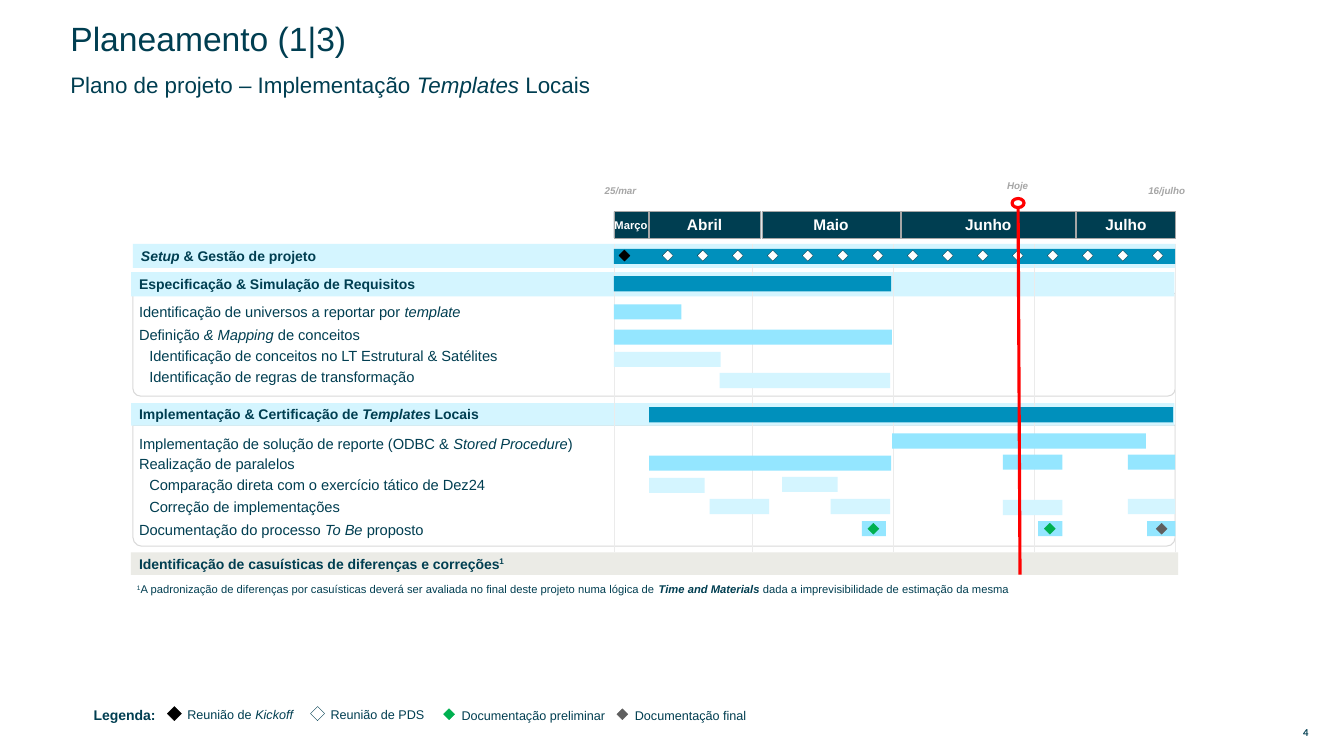
from lxml.etree import SubElement
from pptx import Presentation
from pptx.dml.color import RGBColor
from pptx.enum.shapes import MSO_CONNECTOR as Connector, MSO_SHAPE as Shape
from pptx.enum.text import MSO_ANCHOR as Anchor, PP_ALIGN as Align
from pptx.oxml.ns import qn
from pptx.util import Pt

COLORS = {
    "navy": "003E51", "deep": "0090BC", "mid": "94E6FF", "light": "D4F5FF",
    "stone": "EBEBE6", "grid": "EBEBEB", "frame": "D9D9D9", "silver": "A6A6A6",
    "white": "FFFFFF", "black": "000000", "green": "00B050", "gray": "5F5F5F",
    "red": "FF0000",
}

START, END = 438.5, 839.5
GRID = [START, 537.1, 637.9, 738.7, END]
MONTHS = [("Março", START, 24.5, 8), ("Abril", 463.7, 79.2, 11),
          ("Maio", 544.3, 98.6, 11), ("Junho", 643.7, 124.6, 11),
          ("Julho", 769, 70.5, 11)]
BANDS = [
    (95, 174.2, 744.5, 17.3, "light", [("Setup", "i"), " & Gestão de projeto"]),
    (93.6, 194.4, 745.2, 17.3, "light", ["Especificação & Simulação de Requisitos"]),
    (93.6, 288, 745.2, 16, "light",
     ["Implementação & Certificação de ", ("Templates ", "i"), "Locais"]),
    (93.6, 394.6, 748, 16, "stone",
     ["Identificação de casuísticas de diferenças e correções", ("1", "^")]),
]
TASKS = [
    (213.8, 17.3, 0, ["Identificação de universos a reportar por ", ("template", "i")]),
    (231.1, 15.8, 0, ["Definição", (" & Mapping", "i"), " de conceitos"]),
    (247, 14.4, 1, ["Identificação de conceitos no LT Estrutural & Satélites"]),
    (261.4, 15.8, 1, ["Identificação de regras de transformação"]),
    (307.4, 19.4, 0, ["Implementação de solução de reporte (ODBC & ",
                      ("Stored Procedure", "i"), ")"]),
    (323.3, 15.8, 0, ["Realização de paralelos"]),
    (339.1, 14.4, 1, ["Comparação direta com o exercício tático de Dez24"]),
    (354.2, 15.8, 1, ["Correção de implementações"]),
    (370.8, 14.4, 0, ["Documentação do processo ", ("To Be", "i"), " proposto"]),
]
BARS = {
    "deep": [(START, 177.8, 401), (START, 197.3, 198), (463.7, 290.9, 374.4)],
    "mid": [(START, 217.4, 48.2), (START, 235.4, 198.7), (637.2, 309.6, 181.4),
            (463.7, 325.4, 172.8), (716.4, 324.7, 42.5), (805.7, 324.7, 33.8),
            (615.6, 372.2, 17.3), (741.6, 372.2, 17.3), (819.4, 372.2, 20.1)],
    "light": [(START, 251.3, 76.3), (514.1, 266.4, 121.7), (463.7, 341.3, 39.6),
              (558.7, 340.6, 39.6), (506.9, 356.4, 42.5), (593.3, 356.4, 42.5),
              (716.4, 357.1, 42.5), (805.7, 356.4, 33.8)],
}
DOCUMENTS = [(619.9, "green"), (745.9, "green"), (825.8, "gray")]
LEGEND = [
    (119.5, 504.7, 10.1, "black", "black", 126.7, 500.4, 93, ["Reunião de ", ("Kickoff", "i")]),
    (221.8, 504.7, 10.1, "white", "navy", 229, 500.4, 93, ["Reunião de PDS"]),
    (316.8, 506.2, 7.9, "green", "green", 322.6, 501.1, 121.7, ["Documentação preliminar"]),
    (440.6, 506.2, 7.9, "gray", "gray", 446.4, 501.1, 101.5, ["Documentação final"]),
]


class Painter:
    font = "Arial"

    def __init__(self, page):
        self.page = page

    def color(self, name):
        return RGBColor.from_string(COLORS[name])

    def shape(self, kind, left, top, width, height, fill=None, line=None, weight=0.25):
        box = self.page.shapes.add_shape(kind, Pt(left), Pt(top), Pt(width), Pt(height))
        box.shadow.inherit = False
        if fill:
            box.fill.solid()
            box.fill.fore_color.rgb = self.color(fill)
        else:
            box.fill.background()
        if line:
            box.line.color.rgb = self.color(line)
            box.line.width = Pt(weight)
        else:
            box.line.fill.background()
        return box

    def diamond(self, left, top, fill, line=None, size=7.9):
        self.shape(Shape.DIAMOND, left, top, size, size, fill, line or fill)

    def line(self, start, end, color, weight):
        line = self.page.shapes.add_connector(Connector.STRAIGHT, *map(Pt, start + end))
        line.line.color.rgb = self.color(color)
        line.line.width = Pt(weight)
        SubElement(line._element.spPr, qn("a:effectLst"))

    def label(self, box, spans, size, color="navy", bold=False, italic=False,
              align=Align.LEFT, anchor=Anchor.MIDDLE, insets=(7.2, 3.6, 7.2, 3.6),
              spacing=None, font=None):
        frame = box.text_frame
        frame.word_wrap = True
        frame.vertical_anchor = anchor
        (frame.margin_left, frame.margin_top,
         frame.margin_right, frame.margin_bottom) = map(Pt, insets)
        para = frame.paragraphs[0]
        para.alignment = align
        if spacing:
            para.line_spacing = spacing
        para.font.name = font or self.font
        para.font.size = Pt(size)
        para.font.color.rgb = self.color(color)
        para.font.bold = bold
        para.font.italic = italic
        for item in spans:
            words, marks = (item, "") if isinstance(item, str) else item
            span = para.add_run()
            span.text = words
            if "b" in marks:
                span.font.bold = True
            if "i" in marks:
                span.font.italic = True
            if "^" in marks:
                span._r.get_or_add_rPr().set("baseline", "30000")

    def text(self, left, top, width, height, spans, size, **style):
        box = self.page.shapes.add_textbox(Pt(left), Pt(top), Pt(width), Pt(height))
        self.label(box, spans, size, **style)

    def note(self, left, top, width, height, spans, size, **style):
        self.text(left, top, width, height, spans, size,
                  anchor=Anchor.TOP, spacing=1.1, **style)

    def date(self, left, top, day):
        self.text(left, top, 51.1, 15.8, [day], 7, color="silver", bold=True, italic=True,
                  align=Align.CENTER, anchor=Anchor.TOP, insets=(0, 3.6, 0, 3.6))


def main():
    deck = Presentation()
    deck.slide_width, deck.slide_height = Pt(960), Pt(540)
    painter = Painter(deck.slides.add_slide(deck.slide_layouts[6]))

    painter.text(43.2, 19.4, 572.4, 18.7, ["Planeamento (1|3)"], 24, spacing=0.9)
    painter.text(43.2, 52.6, 551.5, 18.7,
                 ["Plano de projeto – Implementação ", ("Templates", "i"), " Locais"],
                 16, spacing=0.9)

    for top, height in [(209.5, 73.4), (303.8, 86.4)]:
        frame = painter.shape(Shape.ROUND_2_SAME_RECTANGLE, 95, top, 744.5, height,
                              line="frame", weight=0.75)
        frame.adjustments[0], frame.adjustments[1] = 0, 0.073
    for left, top, width, height, fill, spans in BANDS:
        band = painter.shape(Shape.RECTANGLE, left, top, width, height, fill)
        painter.label(band, spans, 10, bold=True, insets=(5.76, 7.9, 5.76, 7.9))
    for top, height, level, spans in TASKS:
        painter.text(92.2, top, 356, height, spans, 10.5,
                     insets=(7.2 + 7.2 * level, 3.6, 7.2, 3.6))

    for left in GRID:
        painter.line((left, 174.2), (left, 394.6), "grid", 0.25)
    for fill, bars in BARS.items():
        for left, top, width in bars:
            painter.shape(Shape.RECTANGLE, left, top, width, 10.8, fill)
    painter.diamond(442.1, 178.6, "black")
    for week in range(15):
        painter.diamond(473 + 25 * week, 178.6, "white", "navy")
    for left, fill in DOCUMENTS:
        painter.diamond(left, 373.7, fill)

    for month, left, width, size in MONTHS:
        header = painter.shape(Shape.RECTANGLE, left, 151.2, width, 18.7, "navy", "silver")
        painter.label(header, [month], size, color="white", bold=True,
                      align=Align.CENTER, insets=(0, 3.6, 0, 3.6))
    painter.date(417.6, 128.2, "25/mar")
    painter.date(807.8, 128.2, "16/julho")

    painter.line((727.2, 144), (728.6, 410.4), "red", 2.25)
    painter.shape(Shape.OVAL, 722.9, 141.8, 8.6, 6.5, "white", "red", 2.25)
    painter.date(701.3, 124.6, "Hoje")

    painter.note(90.7, 411.8, 778.3, 17.3, [
        ("1", "^"),
        "A padronização de diferenças por casuísticas deverá ser avaliada no final "
        "deste projeto numa lógica de ",
        ("Time and Materials ", "bi"),
        "dada a imprevisibilidade de estimação da mesma"], 8)

    painter.note(59.8, 499.7, 59.8, 20.9, ["Legenda:"], 10, bold=True)
    for mark, mark_top, size, fill, line, left, top, width, spans in LEGEND:
        painter.diamond(mark, mark_top, fill, line, size)
        painter.note(left, top, width, 19.4, spans, 9)
    painter.text(916.6, 517.7, 32.4, 11.5, ["4"], 6.8, bold=True, font="Lato",
                 align=Align.CENTER, insets=(4.3, 2.2, 4.3, 2.2))

    deck.save("out.pptx")


if __name__ == "__main__":
    main()
